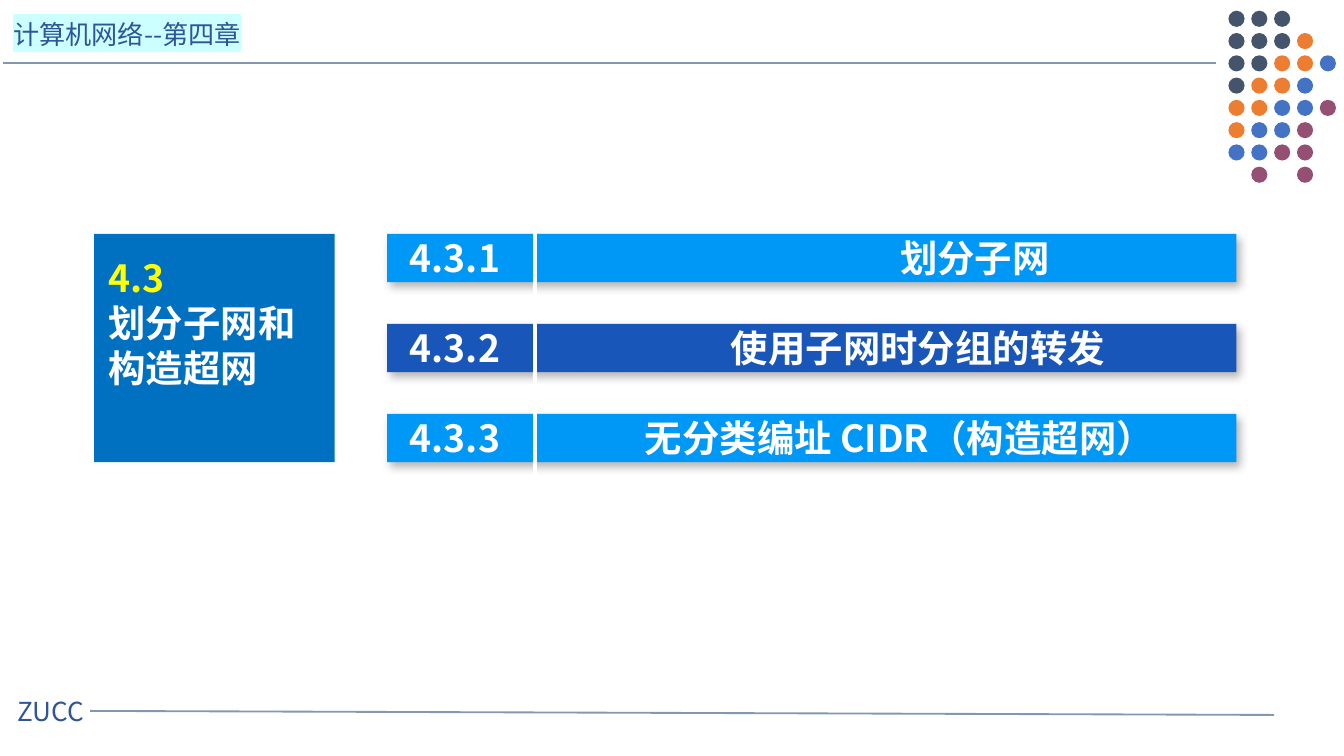
from lxml import etree
from pptx import Presentation
from pptx.dml.color import RGBColor
from pptx.enum import shapes, text
from pptx.oxml.ns import qn
from pptx.util import Inches, Pt

# Content
HEADER = "计算机网络--第四章"
FOOTER = "ZUCC"
CHAPTER = [("4.3", "accent"), ("划分子网和构造超网", "white")]
# number, title, tab position of the title, bar colour
SECTIONS = [
    ("4.3.1", "划分子网", 3.65, "bar"),
    ("4.3.2", "使用子网时分组的转发", 2.39, "current"),
    ("4.3.3", "无分类编址 CIDR（构造超网）", 1.75, "bar"),
]
# (start, end) of the rules
RULES = [((0.02, 0.47), (9.05, 0.47)), ((0.67, 5.29), (9.48, 5.32))]
# One letter per dot, a dot for an empty place
DOTS = ["SSS..", "SSSO.", "SSOOB", "SOOB.", "OOBBP", "OBBP.", "BBPP.", ".P.P."]
DOT_COLOURS = {"S": "slate", "O": "orange", "B": "blue", "P": "plum"}

THEME = {
    "font": "Noto Sans CJK SC", "small": 14, "large": 20, "leading": 24,
    "rule": "8497B0", "running": "2F5597", "highlight": "CCFFFF",
    "white": "FFFFFF", "accent": "FFFF00", "panel": "0070C0",
    "bar": "0098F6", "current": "1956B9",
    "slate": "44546A", "orange": "ED7D31", "blue": "4472C4", "plum": "954F72",
}
BAR_TOP, BAR_PITCH = 1.74, 0.67
DOT_TOP, DOT_BOTTOM = 0.08, 1.24


def colour(key):
    return RGBColor.from_string(THEME[key])


def add_line(slide, start, end, key, width):
    line = slide.shapes.add_connector(
        shapes.MSO_CONNECTOR.STRAIGHT, *map(Inches, start + end))
    line.line.color.rgb = colour(key)
    line.line.width = Pt(width)
    etree.SubElement(line._element.spPr, qn("a:effectLst"))


def add_solid(parent, preset, box, key):
    solid = parent.add_shape(preset, *map(Inches, box))
    solid.shadow.inherit = False
    solid.fill.solid()
    solid.fill.fore_color.rgb = colour(key)
    solid.line.fill.background()
    return solid


def add_shadow(bar):
    effects = bar._element.spPr.find(qn("a:effectLst"))
    outer = etree.SubElement(effects, qn("a:outerShdw"), blurRad=str(Pt(4.5)),
                             dist=str(Pt(2.6)), dir=str(53 * 60000), rotWithShape="0")
    black = etree.SubElement(outer, qn("a:srgbClr"), val="000000")
    etree.SubElement(black, qn("a:alpha"), val="30000")


def add_frame(slide, box, anchor=text.MSO_ANCHOR.TOP):
    frame = slide.shapes.add_textbox(*map(Inches, box)).text_frame
    frame.word_wrap = True
    frame.vertical_anchor = anchor
    return frame


def add_run(paragraph, words, key, size, bold=False, highlight=None):
    run = paragraph.add_run()
    run.text = words
    font = run.font
    font.size, font.bold = Pt(THEME[size]), bold
    font.color.rgb = colour(key)
    props = run._r.get_or_add_rPr()
    if highlight:
        mark = etree.SubElement(props, qn("a:highlight"))
        etree.SubElement(mark, qn("a:srgbClr"), val=THEME[highlight])
    font.name = THEME["font"]
    etree.SubElement(props, qn("a:ea"), typeface=THEME["font"])


def next_paragraph(frame, index):
    paragraph = frame.add_paragraph() if index else frame.paragraphs[0]
    paragraph.line_spacing = Pt(THEME["leading"])
    return paragraph


def add_title_tab(paragraph, position):
    tabs = etree.SubElement(paragraph._p.get_or_add_pPr(), qn("a:tabLst"))
    etree.SubElement(tabs, qn("a:tab"), pos=str(Inches(position)), algn="l")


def main():
    deck = Presentation()
    deck.slide_width = Inches(10)
    deck.slide_height = deck.slide_width * 9 // 16
    slide = deck.slides.add_slide(deck.slide_layouts[6])

    # Header and footer
    for start, end in RULES:
        add_line(slide, start, end, "rule", 1)
    for words, box, mark in [(FOOTER, (0.03, 5.12, 0.89, 0.34), None),
                             (HEADER, (0, 0.08, 2.16, 0.34), "highlight")]:
        frame = add_frame(slide, box, text.MSO_ANCHOR.MIDDLE)
        add_run(frame.paragraphs[0], words, "running", "small", highlight=mark)

    # Dot ornament
    ornament = slide.shapes.add_group_shape()
    row_pitch = (DOT_BOTTOM - DOT_TOP) / (len(DOTS) - 1)
    for row, letters in enumerate(DOTS):
        for column, letter in enumerate(letters):
            if letter in DOT_COLOURS:
                add_solid(ornament.shapes, shapes.MSO_SHAPE.OVAL,
                          (9.14 + 0.17 * column, DOT_TOP + row_pitch * row, 0.12, 0.12),
                          DOT_COLOURS[letter])

    # Section bars with their divider
    for index, section in enumerate(SECTIONS):
        bar = add_solid(slide.shapes, shapes.MSO_SHAPE.RECTANGLE,
                        (2.88, BAR_TOP + BAR_PITCH * index, 6.32, 0.36), section[3])
        add_shadow(bar)
    add_line(slide, (3.98, 1.66), (3.98, 3.62), "white", 2.25)

    # Section names
    frame = add_frame(slide, (2.95, 1.7, 6.1, 1.78))
    for index, (number, title, position, _) in enumerate(SECTIONS):
        paragraph = next_paragraph(frame, index)
        if index:
            paragraph.space_before = Pt(BAR_PITCH * 72 - THEME["leading"])
        add_title_tab(paragraph, position)
        add_run(paragraph, number + "\t" + title, "white", "large", bold=True)

    # Chapter panel
    add_solid(slide.shapes, shapes.MSO_SHAPE.RECTANGLE, (0.7, BAR_TOP, 1.79, 1.7), "panel")
    frame = add_frame(slide, (0.71, 1.85, 1.78, 1.11))
    for index, (words, key) in enumerate(CHAPTER):
        add_run(next_paragraph(frame, index), words, key, "large", bold=True)

    deck.save("out.pptx")


if __name__ == "__main__":
    main()
